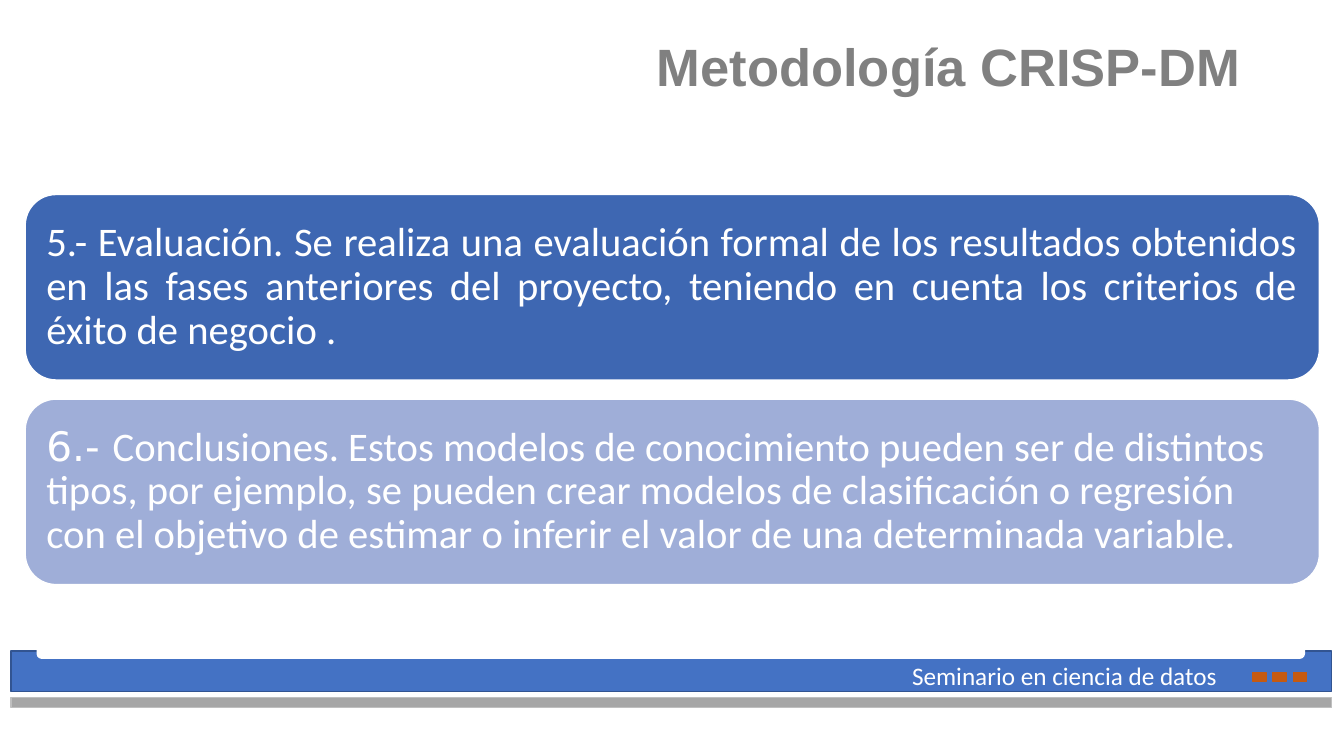
import pptx
import pptx.util
import pptx.dml.color
import pptx.enum.shapes
import pptx.enum.text

Pt = pptx.util.Pt
SHAPE = pptx.enum.shapes.MSO_SHAPE
ALIGN = pptx.enum.text.PP_ALIGN
ANCHOR = pptx.enum.text.MSO_ANCHOR

# Content
TITLE = "Metodología CRISP-DM"
FOOTER = "Seminario en ciencia de datos"
PHASES = [  # fill, alignment, runs of (text, font)
    ("evaluation", ALIGN.JUSTIFY, [
        ("5.- Evaluación. Se realiza una evaluación formal de los resultados "
         "obtenidos en las fases anteriores del proyecto, teniendo en cuenta "
         "los criterios de éxito de negocio .", "Calibri")]),
    ("conclusions", ALIGN.LEFT, [
        ("6.- ", "DejaVu Sans"),
        ("Conclusiones. Estos modelos de conocimiento pueden ser de distintos "
         "tipos, por ejemplo, se pueden crear modelos de clasificación o "
         "regresión con el objetivo de estimar o inferir el valor de una "
         "determinada variable.", "Calibri")]),
]
COLORS = {
    "title": "808080", "white": "FFFFFF",
    "evaluation": "3E67B2", "conclusions": "9FAED8",
    "band": "4472C4", "band_line": "325491",
    "rule": "A6A6A6", "rule_line": "BFBFBF", "dot": "C55A11",
}

# Layout, in points
BAND_X, BAND_W = 7.92, 943.2
CARD_X, CARD_Y, CARD_W, CARD_H, CARD_STEP = 18, 138.96, 924.48, 132.48, 146.16
DOT_X, DOT_Y, DOT_W, DOT_H, DOT_STEP = 894.96, 480.24, 9.36, 6.48, 14.4
BARS = [
    (SHAPE.RECTANGLE, BAND_X, 465.12, BAND_W, 28.8, "band", "band_line"),
    (SHAPE.ROUNDED_RECTANGLE, 26.64, 451.44, 905.04, 18.72, "white", "white"),
    (SHAPE.RECTANGLE, BAND_X, 498.24, BAND_W, 7.2, "rule", "rule_line"),
]


def rgb(name):
    return pptx.dml.color.RGBColor.from_string(COLORS[name])


def add_block(kind, x, y, w, h, fill, line):
    sp = s.shapes.add_shape(kind, Pt(x), Pt(y), Pt(w), Pt(h))
    sp.shadow.inherit = False
    sp.fill.solid()
    sp.fill.fore_color.rgb = rgb(fill)
    sp.line.color.rgb = rgb(line)
    sp.line.width = Pt(1)
    return sp


def write(sp, runs, *, size, color="white", bold=False, align=ALIGN.LEFT,
          anchor=ANCHOR.TOP, spacing=1.0, inset=None):
    tf = sp.text_frame
    tf.word_wrap = True
    tf.vertical_anchor = anchor
    if inset is not None:
        tf.margin_left = tf.margin_right = Pt(inset)
        tf.margin_top = tf.margin_bottom = Pt(inset)
    p = tf.paragraphs[0]
    p.alignment = align
    p.line_spacing = spacing
    for text, font in runs:
        r = p.add_run()
        r.text = text
        r.font.name = font
        r.font.size = Pt(size)
        r.font.bold = bold
        r.font.color.rgb = rgb(color)


prs = pptx.Presentation()
prs.slide_width, prs.slide_height = Pt(960), Pt(540)
s = prs.slides.add_slide(prs.slide_layouts[6])

# Title
sp = s.shapes.add_textbox(Pt(101.52), Pt(28.8), Pt(792), Pt(43.2))
write(sp, [(TITLE, "Arial")], size=37.5, color="title", bold=True,
      align=ALIGN.RIGHT, anchor=ANCHOR.BOTTOM, spacing=0.7)

# Footer band, with its three dots and label
for bar in BARS:
    add_block(*bar)
for i in range(3):
    add_block(SHAPE.RECTANGLE, DOT_X + i * DOT_STEP, DOT_Y, DOT_W, DOT_H,
              "dot", "dot")
sp = s.shapes.add_textbox(Pt(644.4), Pt(468), Pt(248.4), Pt(28.8))
write(sp, [(FOOTER, "Calibri")], size=18)

# Phase cards
for i, (fill, align, runs) in enumerate(PHASES):
    sp = add_block(SHAPE.ROUNDED_RECTANGLE, CARD_X, CARD_Y + i * CARD_STEP,
                   CARD_W, CARD_H, fill, "white")
    write(sp, runs, size=29, align=align, anchor=ANCHOR.MIDDLE,
          spacing=0.9, inset=8.64)

prs.save("out.pptx")
